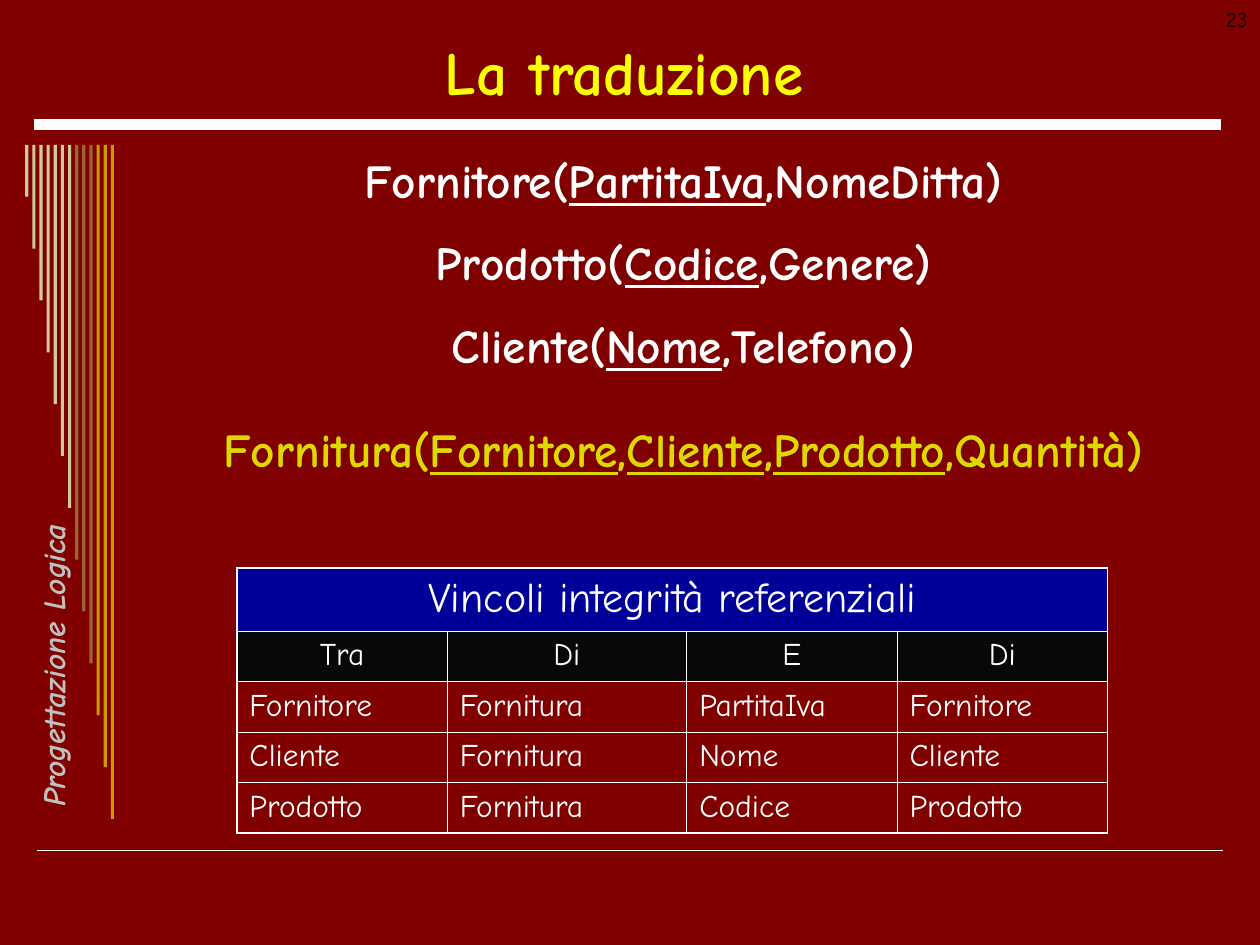
from dataclasses import dataclass

from lxml.etree import SubElement
from pptx import Presentation
from pptx.dml.color import RGBColor
from pptx.enum.shapes import MSO_CONNECTOR, MSO_SHAPE
from pptx.enum.text import MSO_ANCHOR, MSO_AUTO_SIZE, PP_ALIGN
from pptx.oxml.ns import qn
from pptx.util import Inches, Pt

FONT = "Comic Neue"
MAROON = RGBColor(0x80, 0x00, 0x00)
WHITE = RGBColor(0xFF, 0xFF, 0xFF)
BLACK = RGBColor(0x00, 0x00, 0x00)
YELLOW = RGBColor(0xFF, 0xFF, 0x00)
MUSTARD = RGBColor(0xDD, 0xD8, 0x00)
SILVER = RGBColor(0xC0, 0xC0, 0xC0)
NAVY = RGBColor(0x00, 0x00, 0x99)
COAL = RGBColor(0x08, 0x08, 0x08)
SAND = RGBColor(0xCC, 0xCC, 0x99)
BROWN = RGBColor(0x99, 0x66, 0x33)
OCHRE = RGBColor(0xCC, 0x99, 0x00)

COLUMNS, ROWS = 100, 75
CELL = Inches(0.1)

STRIPES = [SAND] * 7 + [BROWN] * 3 + [OCHRE] * 3

RELATIONS = [
    ("Fornitore", ["PartitaIva"], "NomeDitta", WHITE, 0),
    ("Prodotto", ["Codice"], "Genere", WHITE, 14.5),
    ("Cliente", ["Nome"], "Telefono", WHITE, 15),
    ("Fornitura", ["Fornitore", "Cliente", "Prodotto"], "Quantità", MUSTARD, 27),
]

CONSTRAINTS = [
    ["Vincoli integrità referenziali", "", "", ""],
    ["Tra", "Di", "E", "Di"],
    ["Fornitore", "Fornitura", "PartitaIva", "Fornitore"],
    ["Cliente", "Fornitura", "Nome", "Cliente"],
    ["Prodotto", "Fornitura", "Codice", "Prodotto"],
]


@dataclass
class Box:
    left: float
    top: float
    width: float
    height: float

    def emu(self):
        return [grid(n) for n in (self.left, self.top, self.width, self.height)]


def grid(units):
    return round(units * CELL)


def style(paragraph, size, color, bold=False, align=None):
    paragraph.alignment = align
    font = paragraph.font
    font.name, font.size, font.bold = FONT, Pt(size), bold
    font.color.rgb = color


def fit(placeholder, box):
    placeholder.left, placeholder.top, placeholder.width, placeholder.height = box.emu()
    placeholder.text_frame.auto_size = MSO_AUTO_SIZE.NONE


def add_rule(slide, box, weight):
    left, top, width, height = box.emu()
    rule = slide.shapes.add_connector(
        MSO_CONNECTOR.STRAIGHT, left, top, left + width, top + height)
    rule.line.color.rgb = WHITE
    rule.line.width = Pt(weight)
    SubElement(rule._element.spPr, qn("a:effectLst"))


def add_stripes(slide, box):
    thickness = 0.25
    pitch = (box.width - thickness) / (len(STRIPES) - 1)
    for i, color in enumerate(STRIPES):
        length = box.height * (i + 1) / len(STRIPES)
        stripe = slide.shapes.add_shape(
            MSO_SHAPE.RECTANGLE,
            *Box(box.left + i * pitch, box.top, thickness, length).emu())
        stripe.shadow.inherit = False
        stripe.fill.solid()
        stripe.fill.fore_color.rgb = color
        stripe.line.fill.background()


def add_chapter(slide, box):
    chapter = slide.shapes.add_textbox(*box.emu())
    chapter.rotation = 270
    chapter.text_frame.word_wrap = False
    heading = chapter.text_frame.paragraphs[0]
    heading.text = "Progettazione Logica"
    style(heading, 18, SILVER, bold=True)
    heading.font.italic = True


def add_page_number(slide, box):
    corner = slide.shapes.add_textbox(*box.emu())
    corner.text_frame.word_wrap = True
    number = corner.text_frame.paragraphs[0]
    number.text = "23"
    style(number, 12, BLACK, align=PP_ALIGN.RIGHT)


def fill_title(slide, box):
    title = slide.shapes.title
    fit(title, box)
    title.text_frame.vertical_anchor = MSO_ANCHOR.MIDDLE
    heading = title.text_frame.paragraphs[0]
    heading.text = "La traduzione"
    style(heading, 35, YELLOW, bold=True, align=PP_ALIGN.CENTER)


def fill_relations(slide, box):
    body = slide.placeholders[1]
    fit(body, box)
    frame = body.text_frame
    for i, (name, keys, attribute, color, gap) in enumerate(RELATIONS):
        relation = frame.add_paragraph() if i else frame.paragraphs[0]
        properties = relation._p.get_or_add_pPr()
        properties.set("marL", "0")
        properties.set("indent", "0")
        SubElement(properties, qn("a:buNone"))
        relation.line_spacing = 1.0
        relation.space_before = Pt(gap)
        style(relation, 27, color, bold=True, align=PP_ALIGN.CENTER)
        relation.add_run().text = f"{name}("
        for key in keys:
            key_run = relation.add_run()
            key_run.text = key
            key_run.font.underline = True
            relation.add_run().text = "," if key != keys[-1] else f",{attribute})"


def add_borders(cell, outer_sides):
    properties = cell._tc.get_or_add_tcPr()
    for side in "LRTB":
        weight = 1.08 if side in outer_sides else 0.45
        border = SubElement(properties, qn(f"a:ln{side}"), w=str(Pt(weight)))
        solid = SubElement(border, qn("a:solidFill"))
        SubElement(solid, qn("a:srgbClr"), val=str(WHITE))


def add_constraints(slide, box):
    last_row, last_column = len(CONSTRAINTS) - 1, len(CONSTRAINTS[0]) - 1
    table = slide.shapes.add_table(last_row + 1, last_column + 1, *box.emu()).table
    table.first_row = table.horz_banding = False
    for column, width in zip(table.columns, (16.7, 19, 16.7, 16.7)):
        column.width = grid(width)
    for row, height in zip(table.rows, (5, 4, 4, 4, 4)):
        row.height = grid(height)
    for r, words in enumerate(CONSTRAINTS):
        for c, word in enumerate(words):
            cell = table.cell(r, c)
            edges = {"L": c == 0, "R": c == last_column or r == 0,
                     "T": r == 0, "B": r == last_row}
            add_borders(cell, [side for side, outer in edges.items() if outer])
            if r < 2:
                cell.fill.solid()
                cell.fill.fore_color.rgb = (NAVY, COAL)[r]
            else:
                cell.fill.background()
            entry = cell.text_frame.paragraphs[0]
            entry.text = word
            style(entry, 18 if r else 24, WHITE,
                  align=PP_ALIGN.CENTER if r < 2 else PP_ALIGN.LEFT)
    table.cell(0, 0).merge(table.cell(0, last_column))


def main():
    deck = Presentation()
    deck.slide_width, deck.slide_height = grid(COLUMNS), grid(ROWS)
    slide = deck.slides.add_slide(deck.slide_layouts[1])
    slide.background.fill.solid()
    slide.background.fill.fore_color.rgb = MAROON
    add_rule(slide, Box(2.9, 67.5, 94.2, 0), 1)
    add_rule(slide, Box(2.7, 9.9, 94.2, 0), 6)
    add_stripes(slide, Box(2, 11.5, 7.05, 53.5))
    add_chapter(slide, Box(-11.1, 49.2, 29.1, 2.5))
    fill_title(slide, Box(3.5, 2.1, 92.1, 7.1))
    fill_relations(slide, Box(10.6, 11.5, 87.3, 55.1))
    add_constraints(slide, Box(18.8, 45.1, 69.1, 21))
    add_page_number(slide, Box(76.7, 0, 23.3, 5))
    deck.save("out.pptx")


if __name__ == "__main__":
    main()
